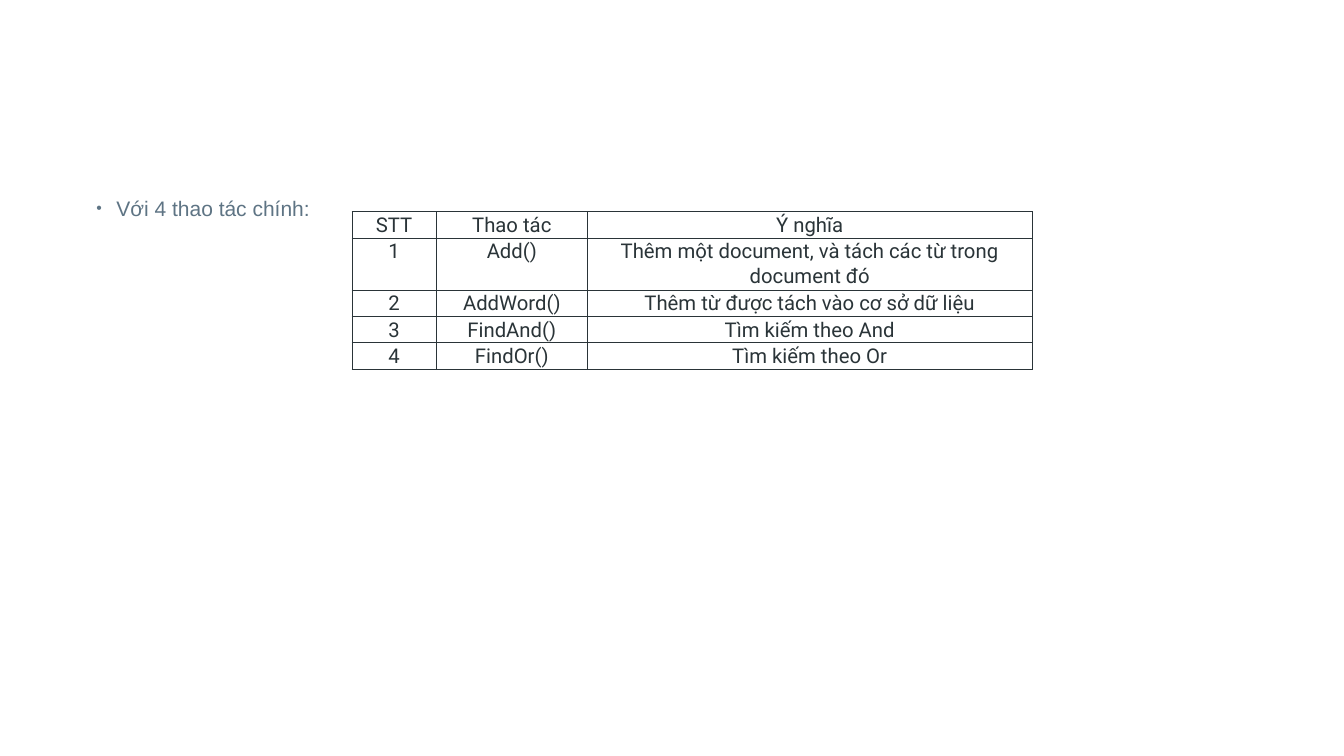
from lxml.etree import SubElement
from pptx import Presentation
from pptx.dml.color import RGBColor
from pptx.enum.text import MSO_ANCHOR, MSO_AUTO_SIZE, PP_ALIGN
from pptx.oxml.ns import qn
from pptx.util import Pt

COLORS = {"intro": "5E7484", "ink": "2A3438"}
INTRO = "Với 4 thao tác chính:"
HEADINGS = ("STT", "Thao tác", "Ý nghĩa")
OPERATIONS = [
    ("Add()", "Thêm một document, và tách các từ trong document đó"),
    ("AddWord()", "Thêm từ được tách vào cơ sở dữ liệu"),
    ("FindAnd()", "Tìm kiếm theo And"),
    ("FindOr()", "Tìm kiếm theo Or"),
]
COLUMN_WIDTHS = (121, 215.3, 635.8)
LINE_HEIGHT = 37.44
ROW_LINES = (1, 2, 1, 1, 1)
INTRO_FRAME = {
    "word_wrap": True,
    "auto_size": MSO_AUTO_SIZE.NONE,
    "vertical_anchor": MSO_ANCHOR.TOP,
    "margin_left": Pt(4.3),
    "margin_right": Pt(4.3),
    "margin_top": Pt(4.3),
    "margin_bottom": Pt(4.3),
}
CELL_FORMAT = {
    "margin_left": Pt(11.5),
    "margin_right": Pt(11.5),
    "margin_top": 0,
    "margin_bottom": 0,
    "vertical_anchor": MSO_ANCHOR.TOP,
}


def apply(target, formats):
    for key, value in formats.items():
        setattr(target, key, value)


def style_font(font, name, size, color):
    apply(font, {"name": name, "size": Pt(size)})
    font.color.rgb = RGBColor.from_string(COLORS[color])


def add_borders(cell):
    properties = cell._tc.get_or_add_tcPr()
    for side in ("a:lnL", "a:lnR", "a:lnT", "a:lnB"):
        border = SubElement(properties, qn(side), w=str(Pt(1)))
        fill = SubElement(border, qn("a:solidFill"))
        SubElement(fill, qn("a:srgbClr"), val=COLORS["ink"])


def add_intro(slide):
    intro = slide.placeholders[1]
    apply(intro, {"left": Pt(133.2), "top": Pt(274.3),
                  "width": Pt(1653.8), "height": Pt(178.6)})
    frame = intro.text_frame
    apply(frame, INTRO_FRAME)
    frame.text = INTRO
    paragraph = frame.paragraphs[0]
    apply(paragraph, {"space_before": Pt(51), "alignment": PP_ALIGN.LEFT})
    style_font(paragraph.runs[0].font, "Arial", 30, "intro")
    properties = paragraph._p.get_or_add_pPr()
    properties.set("marL", str(Pt(28.8)))
    properties.set("indent", str(Pt(-28.8)))
    SubElement(properties, qn("a:buSzPct"), val="75000")
    SubElement(properties, qn("a:buChar"), char="•")


def fill_cell(cell, text):
    apply(cell, CELL_FORMAT)
    cell.text = text
    paragraph = cell.text_frame.paragraphs[0]
    apply(paragraph, {"alignment": PP_ALIGN.CENTER, "line_spacing": 1.07})
    style_font(paragraph.runs[0].font, "Roboto", 29, "ink")
    add_borders(cell)
    cell.fill.background()


def add_operations(slide):
    rows = [HEADINGS] + [(str(number), *operation)
                         for number, operation in enumerate(OPERATIONS, 1)]
    table = slide.shapes.add_table(
        len(rows), len(HEADINGS), Pt(502.6), Pt(302.4),
        Pt(sum(COLUMN_WIDTHS)), Pt(LINE_HEIGHT * sum(ROW_LINES))).table
    apply(table, {"first_row": False, "horz_banding": False})
    for column, width in zip(table.columns, COLUMN_WIDTHS):
        column.width = Pt(width)
    for row, lines, texts in zip(table.rows, ROW_LINES, rows):
        row.height = Pt(LINE_HEIGHT * lines)
        for cell, text in zip(row.cells, texts):
            fill_cell(cell, text)


def main():
    deck = Presentation()
    apply(deck, {"slide_width": Pt(1920), "slide_height": Pt(1080)})
    slide = deck.slides.add_slide(deck.slide_layouts[1])
    title = slide.shapes.title.element
    title.getparent().remove(title)
    add_intro(slide)
    add_operations(slide)
    deck.save("out.pptx")


if __name__ == "__main__":
    main()
